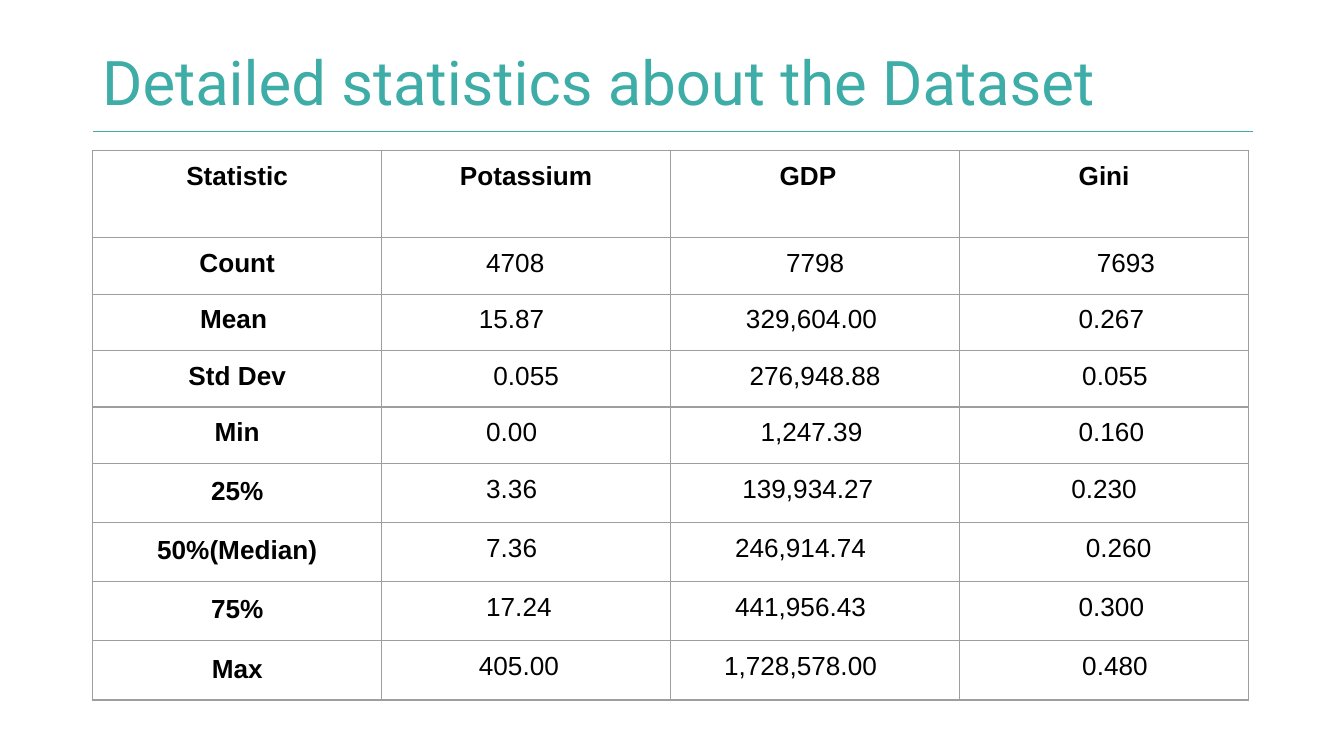
from lxml.etree import SubElement
from pptx import Presentation
from pptx.dml.color import RGBColor
from pptx.enum.shapes import MSO_CONNECTOR
from pptx.enum.text import MSO_ANCHOR, PP_ALIGN
from pptx.oxml.ns import qn
from pptx.util import Inches, Pt

COLORS = {"title": "3EADA7", "rule": "3DACA7", "text": "000000", "border": "9E9E9E"}
SLIDE_WIDTH = Inches(10)
SLIDE_HEIGHT = SLIDE_WIDTH * 9 // 16
LEFT = Inches(0.69)
COLUMN_WIDTH = Inches(2.15)
ROW_HEIGHTS = [0.65] + [0.42] * 4 + [0.44] * 4
PADDING = Inches(0.1)
SHIFT_STEP = Pt(3.9)

HEADERS = [("Statistic", 0), ("Potassium", 0), ("GDP", -2), ("Gini", 0)]
STATISTICS = [
    [("Count", 0), ("4708", -3), ("7798", 0), ("7693", 6)],
    [("Mean", -1), ("15.87", -4), ("329,604.00", -1), ("0.267", 2)],
    [("Std Dev", 0), ("0.055", 0), ("276,948.88", 0), ("0.055", 3)],
    [("Min", 0), ("0.00", -4), ("1,247.39", -1), ("0.160", 2)],
    [("25%", 0), ("3.36", -4), ("139,934.27", -2), ("0.230", 0)],
    [("50%(Median)", 0), ("7.36", -4), ("246,914.74", -4), ("0.260", 4)],
    [("75%", 0), ("17.24", -2), ("441,956.43", -4), ("0.300", 2)],
    [("Max", 0), ("405.00", -2), ("1,728,578.00", -4), ("0.480", 3)],
]


def set_attributes(target, values):
    for name, value in values.items():
        setattr(target, name, value)


def format_font(font, color, values):
    set_attributes(font, values)
    font.color.rgb = RGBColor.from_string(COLORS[color])


def add_title(slide, text):
    title = slide.shapes.title
    set_attributes(title, {
        "left": LEFT, "top": Inches(0.3),
        "width": Inches(7.75), "height": Inches(0.68),
    })
    frame = title.text_frame
    set_attributes(frame, {
        "text": text, "word_wrap": True, "vertical_anchor": MSO_ANCHOR.MIDDLE,
        "margin_left": Inches(0.07), "margin_right": Inches(0.07),
        "margin_top": Inches(0.04), "margin_bottom": Inches(0.04),
    })
    paragraph = frame.paragraphs[0]
    set_attributes(paragraph, {"alignment": PP_ALIGN.LEFT, "line_spacing": 0.9})
    format_font(paragraph.runs[0].font, "title", {"name": "Roboto", "size": Pt(33)})


def add_rule(slide):
    rule = slide.shapes.add_connector(
        MSO_CONNECTOR.STRAIGHT, LEFT, Inches(0.98), Inches(9.32), Inches(0.98))
    rule.line.color.rgb = RGBColor.from_string(COLORS["rule"])
    rule.line.width = Pt(0.75)
    SubElement(rule._element.spPr, qn("a:effectLst"))


def add_borders(cell):
    properties = cell._tc.get_or_add_tcPr()
    for side in ("a:lnL", "a:lnR", "a:lnT", "a:lnB"):
        border = SubElement(properties, qn(side), w=str(Pt(0.75)))
        fill = SubElement(border, qn("a:solidFill"))
        SubElement(fill, qn("a:srgbClr"), val=COLORS["border"])


def fill_cell(cell, text, shift, bold, line_spacing):
    set_attributes(cell, {
        "text": text, "vertical_anchor": MSO_ANCHOR.TOP,
        "margin_left": PADDING + max(shift, 0) * SHIFT_STEP,
        "margin_right": PADDING + max(-shift, 0) * SHIFT_STEP,
        "margin_top": PADDING, "margin_bottom": PADDING,
    })
    add_borders(cell)
    cell.fill.background()
    paragraph = cell.text_frame.paragraphs[0]
    set_attributes(paragraph, {"alignment": PP_ALIGN.CENTER, "line_spacing": line_spacing})
    format_font(paragraph.runs[0].font, "text", {"name": "Arial", "size": Pt(14), "bold": bold})


def add_statistics_table(slide, rows):
    column_count = len(rows[0])
    table = slide.shapes.add_table(
        len(rows), column_count, LEFT, Inches(1.12),
        COLUMN_WIDTH * column_count, Inches(sum(ROW_HEIGHTS))).table
    set_attributes(table, {"first_row": False, "horz_banding": False})
    for column in table.columns:
        column.width = COLUMN_WIDTH
    for row_index, row in enumerate(rows):
        table.rows[row_index].height = Inches(ROW_HEIGHTS[row_index])
        for column_index, (text, shift) in enumerate(row):
            bold = row_index == 0 or column_index == 0
            line_spacing = 1.0 if column_index == 0 and row_index > 4 else 0.9
            fill_cell(table.cell(row_index, column_index), text, shift, bold, line_spacing)


def main():
    presentation = Presentation()
    set_attributes(presentation, {"slide_width": SLIDE_WIDTH, "slide_height": SLIDE_HEIGHT})
    slide = presentation.slides.add_slide(presentation.slide_layouts[5])
    add_rule(slide)
    add_title(slide, "Detailed statistics about the Dataset")
    add_statistics_table(slide, [HEADERS] + STATISTICS)
    presentation.save("out.pptx")


if __name__ == "__main__":
    main()
